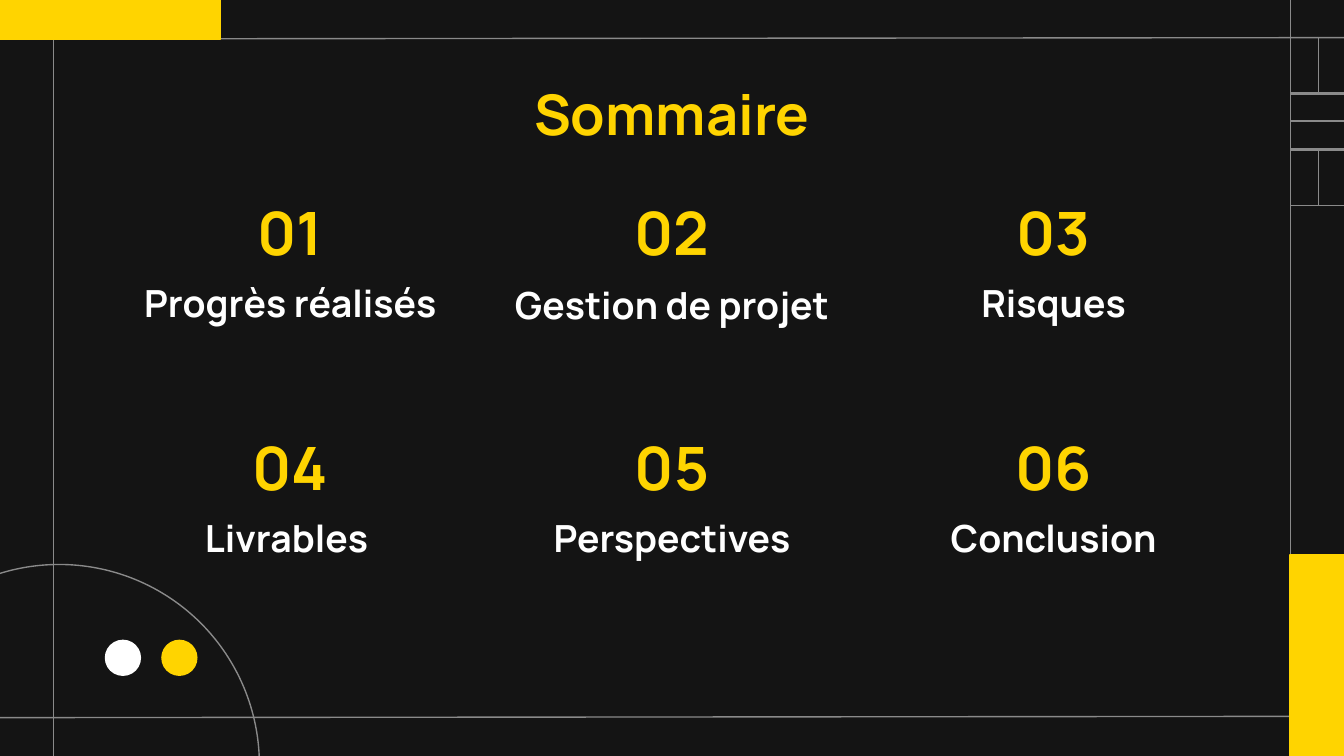
from lxml import etree
from pptx import Presentation
from pptx import util as u
from pptx.dml.color import RGBColor
from pptx.enum import shapes, text
from pptx.oxml.ns import qn

YELLOW = RGBColor(0xFF, 0xD4, 0x00)
WHITE = RGBColor(0xFF, 0xFF, 0xFF)
GREY = RGBColor(0x8A, 0x8A, 0x8A)
BLACK = RGBColor(0x14, 0x14, 0x14)

WIDTH = 10
HEIGHT = WIDTH * 9 / 16
LEFT_RULE, RIGHT_RULE = 0.4, 9.6
COLUMN_START, COLUMN_STEP = 2.16, 2.84
ROW_START, ROW_STEP = 1.48, 1.75
TILE = 0.41

deck = Presentation()
deck.slide_width, deck.slide_height = u.Inches(WIDTH), u.Inches(HEIGHT)
slide = deck.slides.add_slide(deck.slide_layouts[6])
slide.background.fill.solid()
slide.background.fill.fore_color.rgb = BLACK


def add_words(words, center, top, width, height, size, color=YELLOW,
              anchor=text.MSO_ANCHOR.MIDDLE):
    """Place one bold centred line in a box centred on a column."""
    box = slide.shapes.add_textbox(u.Inches(center - width / 2), u.Inches(top),
                                   u.Inches(width), u.Inches(height))
    frame = box.text_frame
    frame.word_wrap = True
    frame.vertical_anchor = anchor
    frame.margin_left = frame.margin_right = u.Inches(0.1)
    frame.margin_top = frame.margin_bottom = u.Inches(0.1)
    line = frame.paragraphs[0]
    line.alignment = text.PP_ALIGN.CENTER
    run = line.add_run()
    run.text = words
    run.font.name, run.font.size, run.font.bold = "Manrope", u.Pt(size), True
    run.font.color.rgb = color


def add_figure(kind, left, top, width, height, fill=None, outline=None):
    figure = slide.shapes.add_shape(kind, *map(u.Inches, (left, top, width, height)))
    figure.shadow.inherit = False
    if fill is None:
        figure.fill.background()
    else:
        figure.fill.solid()
        figure.fill.fore_color.rgb = fill
    if outline is None:
        figure.line.fill.background()
    else:
        figure.line.color.rgb = outline
        figure.line.width = u.Pt(0.75)


RECTANGLE, OVAL = shapes.MSO_SHAPE.RECTANGLE, shapes.MSO_SHAPE.OVAL

# Frame rules and the lines that split the tiles at the right edge
tile_tops = [0.28, 0.7, 1.12]
tile_middle = RIGHT_RULE + 0.21
rules = [
    (-0.03, 0.29, 10.03, 0.28),
    (-0.03, 5.34, 10.03, 5.33),
    (LEFT_RULE, -0.01, LEFT_RULE, 5.66),
    (RIGHT_RULE, -0.01, RIGHT_RULE, 5.66),
    (tile_middle, tile_tops[0], tile_middle, tile_tops[1]),
    (RIGHT_RULE, 0.9, 10.02, 0.9),
    (tile_middle, tile_tops[2], tile_middle, tile_tops[2] + TILE),
]
for ends in rules:
    rule = slide.shapes.add_connector(shapes.MSO_CONNECTOR.STRAIGHT, *map(u.Inches, ends))
    rule.line.color.rgb = GREY
    rule.line.width = u.Pt(0.75)
    etree.SubElement(rule._element.spPr, qn("a:effectLst"))
for top in tile_tops:
    add_figure(RECTANGLE, RIGHT_RULE, top, TILE, TILE, outline=GREY)

# Corner blocks, arc and dots
add_figure(RECTANGLE, RIGHT_RULE, 4.13, 0.4, 1.53, fill=YELLOW, outline=YELLOW)
add_figure(RECTANGLE, 0, -0.01, 1.64, 0.3, fill=YELLOW, outline=YELLOW)
add_figure(OVAL, -1.05, 4.2, 2.98, 2.98, outline=GREY)
for left, color in ((1.2, YELLOW), (0.78, WHITE)):
    add_figure(OVAL, left, 4.76, 0.27, 0.27, fill=color)

# Title and numbered chapters, three to a row
add_words("Sommaire", WIDTH / 2, 0.49, 8.43, 0.63, size=30, anchor=text.MSO_ANCHOR.TOP)

chapters = ["Progrès réalisés", "Gestion de projet", "Risques",
            "Livrables ", "Perspectives", "Conclusion"]
for index, chapter in enumerate(chapters):
    row, column = divmod(index, 3)
    center = COLUMN_START + column * COLUMN_STEP
    top = ROW_START + row * ROW_STEP
    # The longest chapter needs a wider box, set slightly lower
    width, drop = (2.55, 0.01) if chapter == "Gestion de projet" else (2.42, 0)
    add_words(f"{index + 1:02}", center, top, 0.77, 0.49, size=32)
    add_words(chapter, center, top + 0.51 + drop, width, 0.53, size=20, color=WHITE,
              anchor=text.MSO_ANCHOR.BOTTOM)

deck.save("out.pptx")
